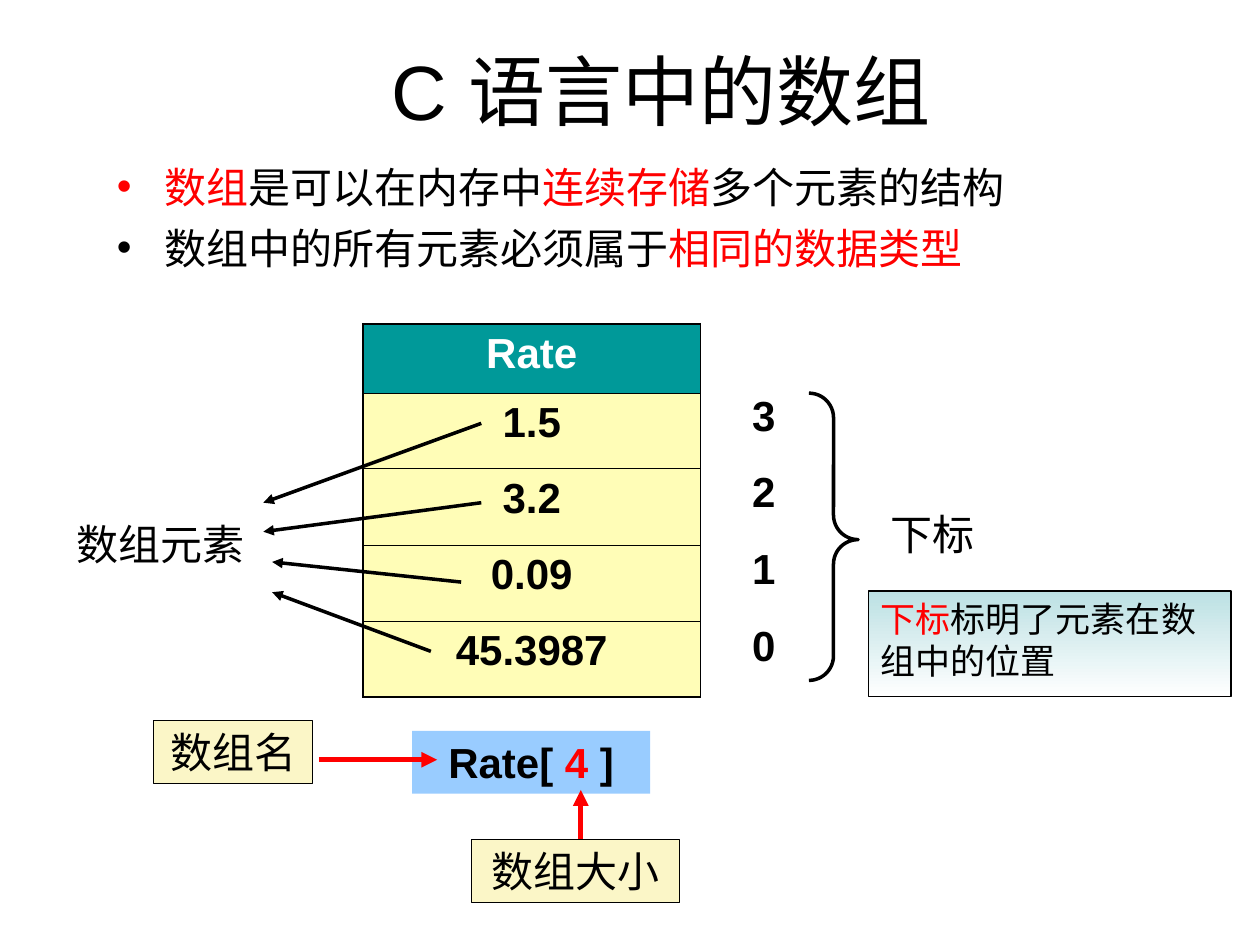
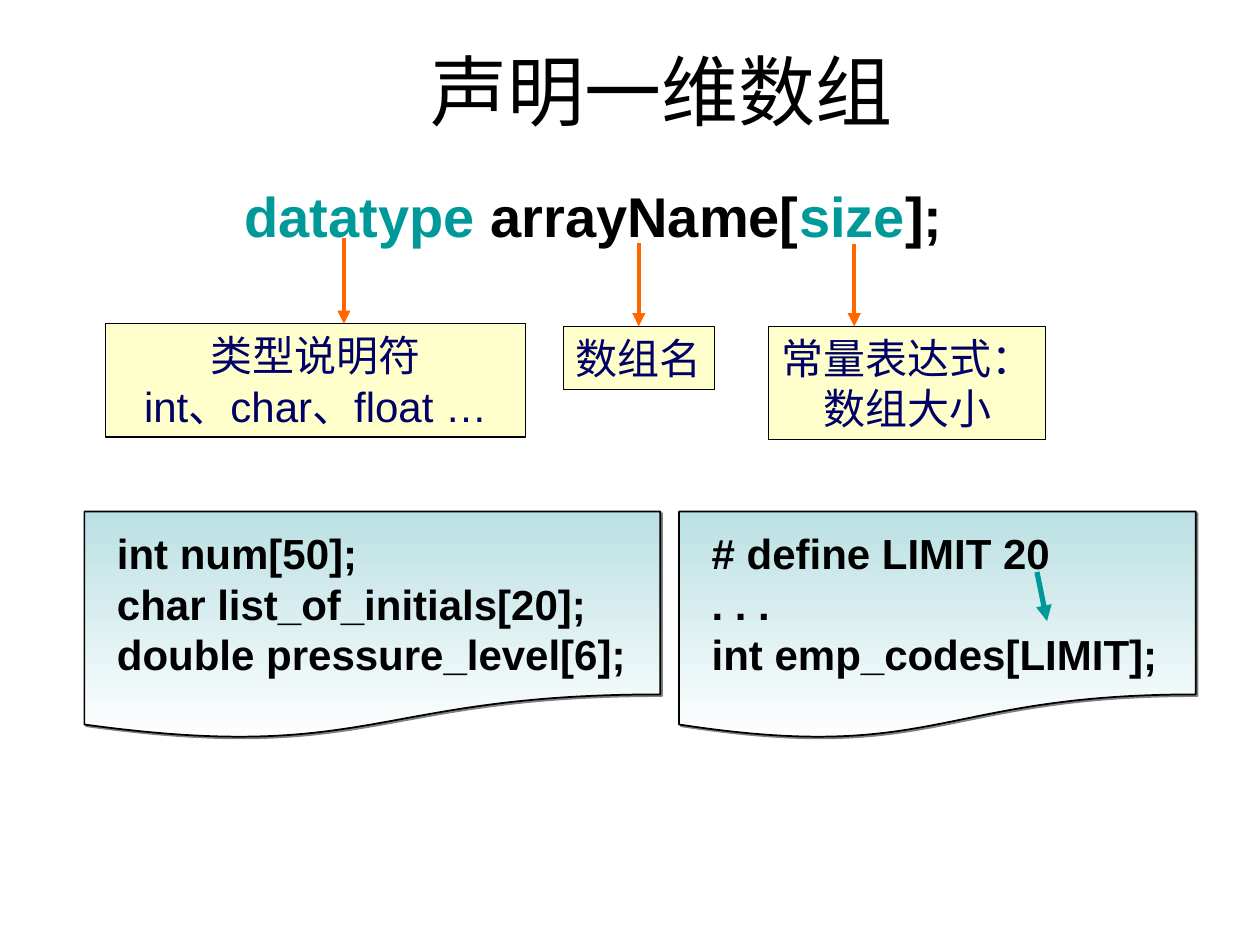
from lxml.etree import SubElement
from pptx import Presentation
from pptx.dml.color import RGBColor
from pptx.enum.shapes import MSO_CONNECTOR, MSO_SHAPE
from pptx.enum.text import MSO_ANCHOR, PP_ALIGN
from pptx.oxml.ns import qn
from pptx.util import Inches, Pt

WIDTH, HEIGHT = Inches(10), Inches(7.5)
COLUMNS, ROWS = 100, 75
FONT = "Arial"
BLACK, WHITE, RED, TEAL = "000000", "FFFFFF", "FF0000", "009999"
NAVY, ORANGE, SKY, MIST = "000066", "FF6600", "99CCFF", "BBE0E3"
CREAM, LEMON, CELL_YELLOW, GRAY = "FBF6C7", "FFFFCC", "FFFDB7", "808080"


def color(value):
    """Turn a hex string into a colour."""
    return RGBColor.from_string(value)


def across(columns):
    """Convert grid columns to a length."""
    return round(WIDTH * columns / COLUMNS)


def down(rows):
    """Convert grid rows to a length."""
    return round(HEIGHT * rows / ROWS)


def place(left, top, width, height):
    """Convert a grid area to lengths."""
    return across(left), down(top), across(width), down(height)


def add_bullet(para, bullet_color):
    """Give a paragraph a hanging round bullet."""
    props = para._p.get_or_add_pPr()
    props.set("marL", str(Inches(0.38)))
    props.set("indent", str(-Inches(0.38)))
    tint = SubElement(props, qn("a:buClr"))
    SubElement(tint, qn("a:srgbClr"), val=bullet_color)
    SubElement(props, qn("a:buFont"), typeface=FONT)
    SubElement(props, qn("a:buChar"), char="•")


def write(frame, lines, size=24, ink=BLACK, accent=RED, bold=False,
          centered=False, before=0, bulleted=False, wrap=True):
    """Write lines whose parts between bars take the accent colour."""
    frame.word_wrap = wrap
    for index, line in enumerate(lines):
        para = frame.paragraphs[0] if index == 0 else frame.add_paragraph()
        if bulleted:
            add_bullet(para, accent if line.startswith("|") else ink)
        para.alignment = PP_ALIGN.CENTER if centered else PP_ALIGN.LEFT
        para.space_before = Pt(before)
        para.font.name, para.font.size, para.font.bold = FONT, Pt(size), bold
        para.font.color.rgb = color(ink)
        for order, part in enumerate(line.split("|")):
            if part:
                span = para.add_run()
                span.text = part
                if order % 2:
                    span.font.color.rgb = color(accent)


def add_text(page, area, lines, **style):
    """Add a plain text box."""
    box = page.shapes.add_textbox(*place(*area))
    write(box.text_frame, lines, **style)
    return box


def add_box(page, area, fill, border=None, kind=MSO_SHAPE.RECTANGLE):
    """Add a filled shape, fading downwards when two colours are given."""
    box = page.shapes.add_shape(kind, *place(*area))
    box.shadow.inherit = False
    if isinstance(fill, tuple):
        box.fill.gradient()
        box.fill.gradient_angle = 270
        for stop, value in zip(box.fill.gradient_stops, fill):
            stop.color.rgb = color(value)
    else:
        box.fill.solid()
        box.fill.fore_color.rgb = color(fill)
    if border:
        box.line.color.rgb = color(BLACK)
        box.line.width = Pt(border)
    else:
        box.line.fill.background()
    return box


def add_label(page, area, lines, fill, border=None, **style):
    """Add a filled rectangle with text from its top."""
    box = add_box(page, area, fill, border)
    box.text_frame.vertical_anchor = MSO_ANCHOR.TOP
    write(box.text_frame, lines, **style)
    return box


def add_arrow(page, start, end, ink, width, target=None):
    """Add a straight arrow, joined to the top of a target if given."""
    arrow = page.shapes.add_connector(
        MSO_CONNECTOR.STRAIGHT, across(start[0]), down(start[1]),
        across(end[0]), down(end[1]))
    if target:
        arrow.end_connect(target, 0)
    arrow.line.color.rgb = color(ink)
    arrow.line.width = Pt(width)
    props = arrow.element.spPr
    SubElement(props.find(qn("a:ln")), qn("a:tailEnd"), type="triangle")
    SubElement(props, qn("a:effectLst"))


def add_title(page, text):
    """Add the slide title."""
    box = add_text(page, (7.5, 2.8, 90, 8.7), [text], size=44, centered=True)
    box.text_frame.vertical_anchor = MSO_ANCHOR.MIDDLE


def set_borders(cell, top, bottom):
    """Draw the four black borders of a cell."""
    props = cell._tc.get_or_add_tcPr()
    for side, width in (("L", 1.08), ("R", 1.08), ("T", top), ("B", bottom)):
        line = SubElement(props, qn(f"a:ln{side}"), w=str(Pt(width)))
        fill = SubElement(line, qn("a:solidFill"))
        SubElement(fill, qn("a:srgbClr"), val=BLACK)


def add_array_table(page, area, values, heights):
    """Add a one-column table whose first row is the array name."""
    table = page.shapes.add_table(len(values), 1, *place(*area)).table
    table.first_row = table.horz_banding = False
    last = len(values) - 1
    for index, (value, height) in enumerate(zip(values, heights)):
        table.rows[index].height = down(height)
        cell = table.cell(index, 0)
        set_borders(cell, 0.45 if index else 1.08,
                    1.08 if index == last else 0.45)
        cell.fill.solid()
        cell.fill.fore_color.rgb = color(CELL_YELLOW if index else TEAL)
        write(cell.text_frame, [value], ink=BLACK if index else WHITE,
              bold=True, centered=True, before=6)


def add_brace(page, area):
    """Add a right brace pointing just below its middle."""
    brace = page.shapes.add_shape(MSO_SHAPE.RIGHT_BRACE, *place(*area))
    brace.shadow.inherit = False
    brace.adjustments[0], brace.adjustments[1] = 0.5, 0.51
    brace.fill.background()
    brace.line.color.rgb = color(BLACK)
    brace.line.width = Pt(2)


def add_code_panel(page, left, width, lines):
    """Add a shadowed document shape with code on it."""
    top = 40.6
    panel = add_box(page, (left, top, width, 18.1), (MIST, WHITE), 1,
                    MSO_SHAPE.FLOWCHART_DOCUMENT)
    effects = panel.element.spPr.find(qn("a:effectLst"))
    shadow = SubElement(effects, qn("a:outerShdw"), blurRad="0",
                        dist=str(Pt(1.4)), dir="2700000")
    SubElement(shadow, qn("a:srgbClr"), val=GRAY)
    add_text(page, (left + 1.6, top + 0.8, width - 2.6, 13), lines, bold=True)


def build_array_page(page):
    """Show an array with its elements, subscripts, name and size."""
    add_title(page, "C 语言中的数组")
    add_array_table(page, (28.8, 25.7, 26.8, 29.6),
                    ["Rate", "1.5", "3.2", "0.09", "45.3987"],
                    [5.5, 6, 6.1, 6, 6])
    add_text(page, (58.7, 30.4, 7.1, 23.3), ["3", "2", "1", "0"],
             bold=True, before=15)
    add_label(page, (32.7, 58, 18.9, 5), ["Rate[ |4| ]"], SKY,
              bold=True, centered=True, before=15)
    for area, name in (((12.2, 57.2, 12.6, 5), "数组名"),
                       ((37.4, 66.6, 16.5, 5), "数组大小")):
        add_label(page, area, [name], CREAM, 0.5, centered=True, before=15)
    add_label(page, (68.9, 46.9, 28.8, 8.4),
              ["|下标|标明了元素在数组中的位置"], (MIST, WHITE), 0.75, size=20)
    add_arrow(page, (25.3, 60.3), (34.7, 60.3), RED, 3)
    add_arrow(page, (46.1, 66.6), (46.1, 62.7), RED, 3)
    add_brace(page, (64.2, 31.2, 3.9, 22.8))
    add_text(page, (5.1, 40.7, 16.5, 5), ["数组元素"], before=15)
    add_text(page, (69.7, 39.9, 14.2, 5), ["下标"], before=15)
    for start, end in (((38.2, 33.6), (20.9, 39.9)),
                       ((38.2, 39.9), (20.9, 42.2)),
                       ((36.6, 46.2), (21.6, 44.6)),
                       ((34.2, 51.7), (21.6, 47))):
        add_arrow(page, start, end, BLACK, 2)
    add_text(page, (8.3, 12.3, 86.6, 10.2),
             ["|数组|是可以在内存中|连续存储|多个元素的结构",
              "数组中的所有元素必须属于|相同的数据类型|"],
             before=6, bulleted=True)


def build_declaration_page(page):
    """Show the parts of an array declaration and two examples."""
    add_title(page, "声明一维数组")
    add_text(page, (18.4, 13.9, 57.4, 6.4),
             ["|datatype| arrayName[|size|];"], size=32, accent=TEAL,
             bold=True, centered=True, wrap=False)
    parts = (((8.4, 25.7, 33.3, 9), 27.3, 18.9,
              ["类型说明符", "int、char、float …"]),
             ((44.7, 25.9, 12, 5), 50.7, 19.3, ["数组名"]),
             ((61, 25.9, 22, 9), 67.8, 19.4, ["常量表达式：", "数组大小"]))
    for area, column, start, lines in parts:
        left, top, width, _ = area
        label = add_label(page, area, lines, LEMON, 0.75, ink=NAVY,
                          centered=True, wrap=False)
        is_middle = abs(left + width / 2 - column) < 0.1
        add_arrow(page, (column, start), (column, top), ORANGE, 2.5,
                  label if is_middle else None)
    add_code_panel(page, 6.7, 45.7,
                   ["int num[50];", "char list_of_initials[20];",
                    "double pressure_level[6];"])
    add_code_panel(page, 53.9, 41,
                   ["# define LIMIT 20", ". . .", "int emp_codes[LIMIT];"])
    add_arrow(page, (82.3, 45.4), (83.1, 49.3), TEAL, 3)


def main():
    """Build and save the deck."""
    deck = Presentation()
    deck.slide_width, deck.slide_height = WIDTH, HEIGHT
    for build in (build_array_page, build_declaration_page):
        build(deck.slides.add_slide(deck.slide_layouts[6]))
    deck.save("out.pptx")


if __name__ == "__main__":
    main()
